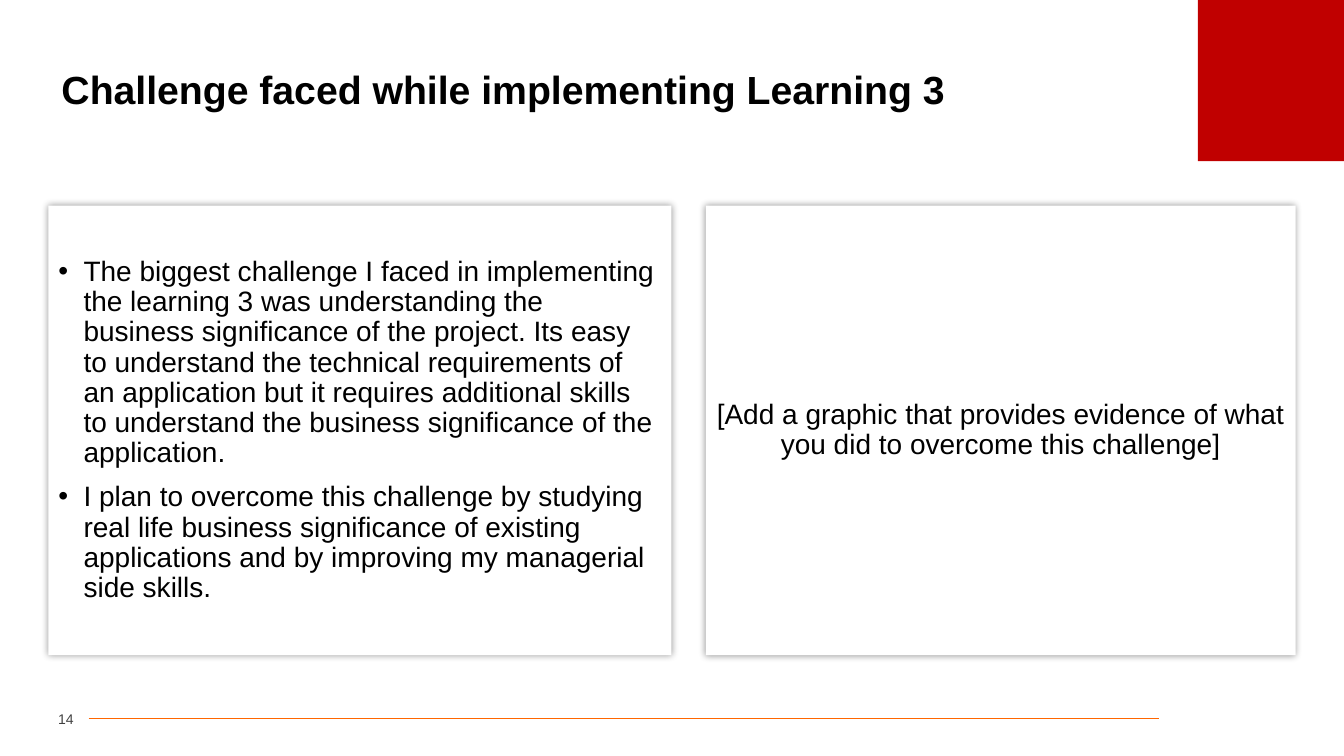
from dataclasses import dataclass

from lxml import etree
from pptx import Presentation
from pptx.dml.color import RGBColor
from pptx.enum import shapes, text
from pptx.oxml import ns
from pptx.util import Inches, Pt

BLACK, WHITE, RED, ORANGE, GREY = "000000", "FFFFFF", "C00000", "FF6600", "404040"
ALIGN = text.PP_ALIGN


@dataclass
class Panel:
    left: float
    width: float
    paragraphs: list[str]
    bulleted: bool


PANELS = [
    Panel(0.48, 6.18, [
        "The biggest challenge I faced in implementing the learning 3 was understanding "
        "the business significance of the project. Its easy to understand the technical "
        "requirements of an application but it requires additional skills to understand "
        "the business significance of the application.",
        "I plan to overcome this challenge by studying real life business significance of "
        "existing applications and by improving my managerial side skills.",
    ], True),
    Panel(7, 5.85, [
        "[Add a graphic that provides evidence of what you did to overcome this challenge]",
    ], False),
]


def color(value: str) -> RGBColor:
    return RGBColor.from_string(value)


def child(parent, tag: str, **attributes: str):
    return etree.SubElement(parent, ns.qn(tag), attributes)


def write(shape, paragraphs: list[str], *, size: float, ink: str = BLACK,
          bold: bool = False, align=ALIGN.LEFT, spacing: float = 1.0,
          before: float = 0, bulleted: bool = False) -> None:
    frame = shape.text_frame
    frame.word_wrap = True
    frame.auto_size = text.MSO_AUTO_SIZE.NONE
    frame.vertical_anchor = text.MSO_ANCHOR.MIDDLE
    frame.text = "\n".join(paragraphs)
    for paragraph in frame.paragraphs:
        paragraph.alignment = align
        paragraph.line_spacing = spacing
        paragraph.space_before = Pt(before)
        font = paragraph.runs[0].font
        font.name, font.size, font.bold = "Arial", Pt(size), bold
        font.color.rgb = color(ink)
        if bulleted:
            properties = paragraph._p.get_or_add_pPr()
            properties.set("marL", str(Inches(0.25)))
            properties.set("indent", str(Inches(-0.25)))
            child(properties, "a:buFont", typeface="Arial")
            child(properties, "a:buChar", char="•")


def add_rectangle(slide, left: float, top: float, width: float, height: float, fill: str):
    rectangle = slide.shapes.add_shape(
        shapes.MSO_SHAPE.RECTANGLE,
        Inches(left), Inches(top), Inches(width), Inches(height))
    rectangle.shadow.inherit = False
    rectangle.fill.solid()
    rectangle.fill.fore_color.rgb = color(fill)
    rectangle.line.fill.background()
    return rectangle


def add_glow_shadow(shape) -> None:
    """Add a soft black shadow spreading evenly around the shape."""
    effects = shape._element.spPr.find(ns.qn("a:effectLst"))
    shadow = child(effects, "a:outerShdw", blurRad=str(Pt(5)), dist="0", dir="0",
                   algn="ctr", rotWithShape="0")
    child(child(shadow, "a:srgbClr", val=BLACK), "a:alpha", val="40000")


def add_panel(slide, panel: Panel) -> None:
    card = add_rectangle(slide, panel.left, 2.04, panel.width, 4.46, WHITE)
    add_glow_shadow(card)
    write(card, panel.paragraphs, size=20, spacing=0.9, before=10,
          align=ALIGN.LEFT if panel.bulleted else ALIGN.CENTER, bulleted=panel.bulleted)


def add_footer(slide) -> None:
    rule = slide.shapes.add_connector(
        shapes.MSO_CONNECTOR.STRAIGHT,
        Inches(0.88), Inches(7.13), Inches(11.5), Inches(7.13))
    rule.line.color.rgb = color(ORANGE)
    rule.line.width = Pt(0.5)
    child(rule._element.spPr, "a:effectLst")

    page_number = slide.shapes.add_textbox(
        Inches(0.33), Inches(6.99), Inches(0.4), Inches(0.29))
    page_number.text_frame.margin_left = page_number.text_frame.margin_right = 0
    write(page_number, ["14"], size=10, ink=GREY, align=ALIGN.RIGHT)


def main() -> None:
    deck = Presentation()
    deck.slide_width, deck.slide_height = Inches(13.33), Inches(7.5)
    slide = deck.slides.add_slide(deck.slide_layouts.get_by_name("Title Only"))

    title = slide.shapes.title
    title.left, title.top = Inches(0.51), Inches(0.52)
    title.width, title.height = Inches(12.31), Inches(0.78)
    write(title, ["Challenge faced while implementing Learning 3"],
          size=28, bold=True, spacing=0.9)

    add_rectangle(slide, 11.88, 0, 1.45, 1.6, RED)
    add_footer(slide)
    for panel in PANELS:
        add_panel(slide, panel)
    deck.save("out.pptx")


if __name__ == "__main__":
    main()
